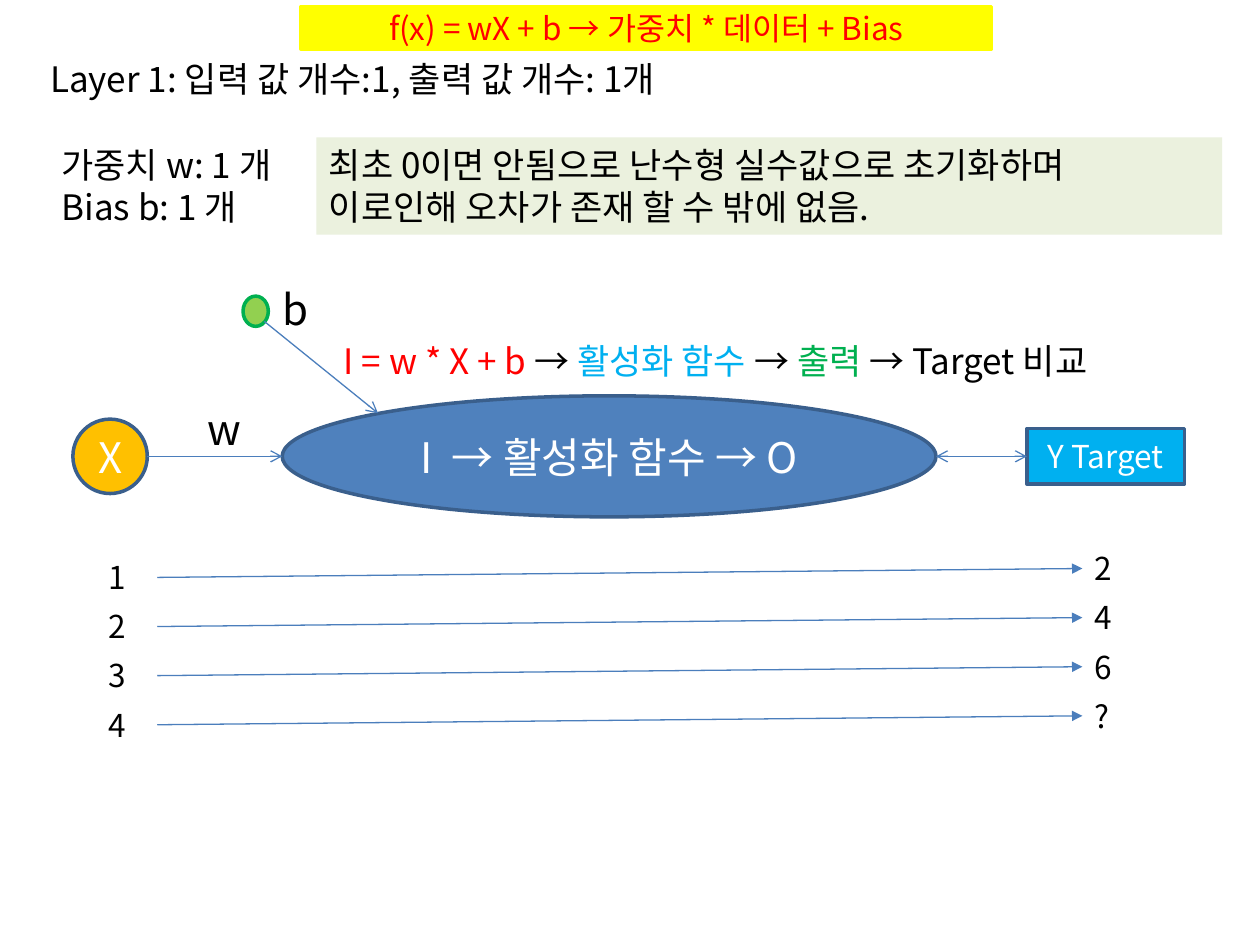
from pptx import Presentation
from pptx.dml.color import RGBColor
from pptx.enum.shapes import MSO_CONNECTOR, MSO_SHAPE
from pptx.enum.text import MSO_ANCHOR, MSO_AUTO_SIZE, PP_ALIGN
from pptx.oxml.ns import qn
from pptx.util import Cm, Pt
from lxml import etree

FONT = "Noto Sans CJK KR"
COLORS = {
    "black": "000000", "white": "FFFFFF", "red": "FF0000", "yellow": "FFFF00",
    "amber": "FFC000", "blue": "4F81BD", "navy": "3A5F8C", "arrow": "4B7EBC",
    "sky": "00B0F0", "green": "00B050", "lime": "92D050", "pale": "EBF1DE",
}
RGB = {name: RGBColor.from_string(value) for name, value in COLORS.items()}

prs = Presentation()
prs.slide_width, prs.slide_height = Cm(25.4), Cm(19.05)
slide = prs.slides.add_slide(prs.slide_layouts[6])


def add_box(box, paragraphs, size, kind=None, fill=None, line=None):
    """Add a text box, or a preset shape; a paragraph is a list of (text, colour)."""
    box = [Cm(length) for length in box]
    if kind is None:
        shape = slide.shapes.add_textbox(*box)
    else:
        shape = slide.shapes.add_shape(kind, *box)
        shape.shadow.inherit = False
        shape.fill.solid()
        shape.fill.fore_color.rgb = RGB[fill]
        if line:
            shape.line.color.rgb = RGB[line]
            shape.line.width = Pt(2)
        else:
            shape.line.fill.background()
    frame = shape.text_frame
    frame.word_wrap = True
    if line:
        frame.vertical_anchor = MSO_ANCHOR.MIDDLE
    else:
        frame.vertical_anchor = MSO_ANCHOR.TOP
        frame.auto_size = MSO_AUTO_SIZE.SHAPE_TO_FIT_TEXT
    for i, runs in enumerate(paragraphs):
        paragraph = frame.add_paragraph() if i else frame.paragraphs[0]
        paragraph.alignment = PP_ALIGN.CENTER if line else PP_ALIGN.LEFT
        paragraph.line_spacing = Pt(size * 1.2)
        for text, color in runs:
            run = paragraph.add_run()
            run.text = text
            run.font.size = Pt(size)
            run.font.name = FONT
            run.font.color.rgb = RGB[color]
            etree.SubElement(run.font._element, qn("a:ea"), typeface=FONT)
    return shape


def add_arrow(start, end, tail="arrow", head=None):
    points = [Cm(length) for length in (*start, *end)]
    arrow = slide.shapes.add_connector(MSO_CONNECTOR.STRAIGHT, *points)
    arrow.line.color.rgb = RGB["arrow"]
    arrow.line.width = Pt(0.75)
    outline = arrow.line._get_or_add_ln()
    for tag, style in (("a:headEnd", head), ("a:tailEnd", tail)):
        if style:
            etree.SubElement(outline, qn(tag), type=style)
    etree.SubElement(arrow._element.spPr, qn("a:effectLst"))
    return arrow


# Heading formula and layer description
add_box((6.07, 0.13, 13.92, 0.86), [[("f(x) = wX + b → 가중치 * 데이터 + Bias", "red")]],
        18, MSO_SHAPE.RECTANGLE, "yellow", "yellow")
add_box((0.76, 1.04, 20.75, 1.12),
        [[("Layer 1: 입력 값 개수:1, 출력 값 개수: 1개", "black")]], 20)

# Parameter counts and the note on initial values
add_box((0.99, 2.77, 6.05, 1.96),
        [[("가중치 w: 1 개", "black")], [("Bias b: 1 개", "black")]], 20)
add_box((6.38, 2.77, 18.26, 1.96),
        [[("최초 0이면 안됨으로 난수형 실수값으로 초기화하며", "black")],
         [("이로인해 오차가 존재 할 수 밖에 없음.", "black")]],
        20, MSO_SHAPE.RECTANGLE, "pale")

# Neuron diagram, centred on one axis
axis = 9.2
add_box((1.47, axis - 0.75, 1.5, 1.5), [[("X", "white")]],
        24, MSO_SHAPE.OVAL, "amber", "navy")
add_box((5.69, axis - 1.22, 13.18, 2.44), [[("I  → 활성화 함수 → O", "white")]],
        24, MSO_SHAPE.OVAL, "blue", "navy")
target = add_box((20.7, axis - 0.56, 3.18, 1.12), [[("Y Target", "white")]],
                 18, MSO_SHAPE.RECTANGLE, "sky", "navy")
add_box((4.9, 5.97, 0.51, 0.61), [], 24, MSO_SHAPE.OVAL, "lime", "green")

add_arrow((2.97, axis), (5.69, axis))
add_arrow((5.33, 6.48), (7.62, 8.33))
compare_arrow = add_arrow((18.87, axis), (20.7, axis), head="arrow")
compare_arrow.end_connect(target, 1)

add_box((3.94, 8, 1.22, 1.27), [[("w", "black")]], 24)
add_box((5.44, 5.59, 1.32, 1.27), [[("b", "black")]], 24)
add_box((6.68, 6.71, 17.2, 1.12),
        [[("I = w * X + b ", "red"), ("→ ", "black"), ("활성화 함수 ", "sky"),
          ("→ ", "black"), ("출력 ", "green"), ("→ Target 비교", "black")]], 20)

# Training pairs: input to expected output
for row, (x_value, y_value) in enumerate(zip("1234", "246?")):
    top = 11.13 + 0.99 * row
    x_label = add_box((1.93, top, 1.24, 1.02), [[(x_value, "black")]], 18)
    y_label = add_box((21.82, top - 0.18, 1.24, 1.02), [[(y_value, "black")]], 18)
    pair_arrow = add_arrow((3.17, top + 0.51), (21.82, top + 0.33), tail="triangle")
    pair_arrow.begin_connect(x_label, 3)
    pair_arrow.end_connect(y_label, 1)

prs.save("out.pptx")
